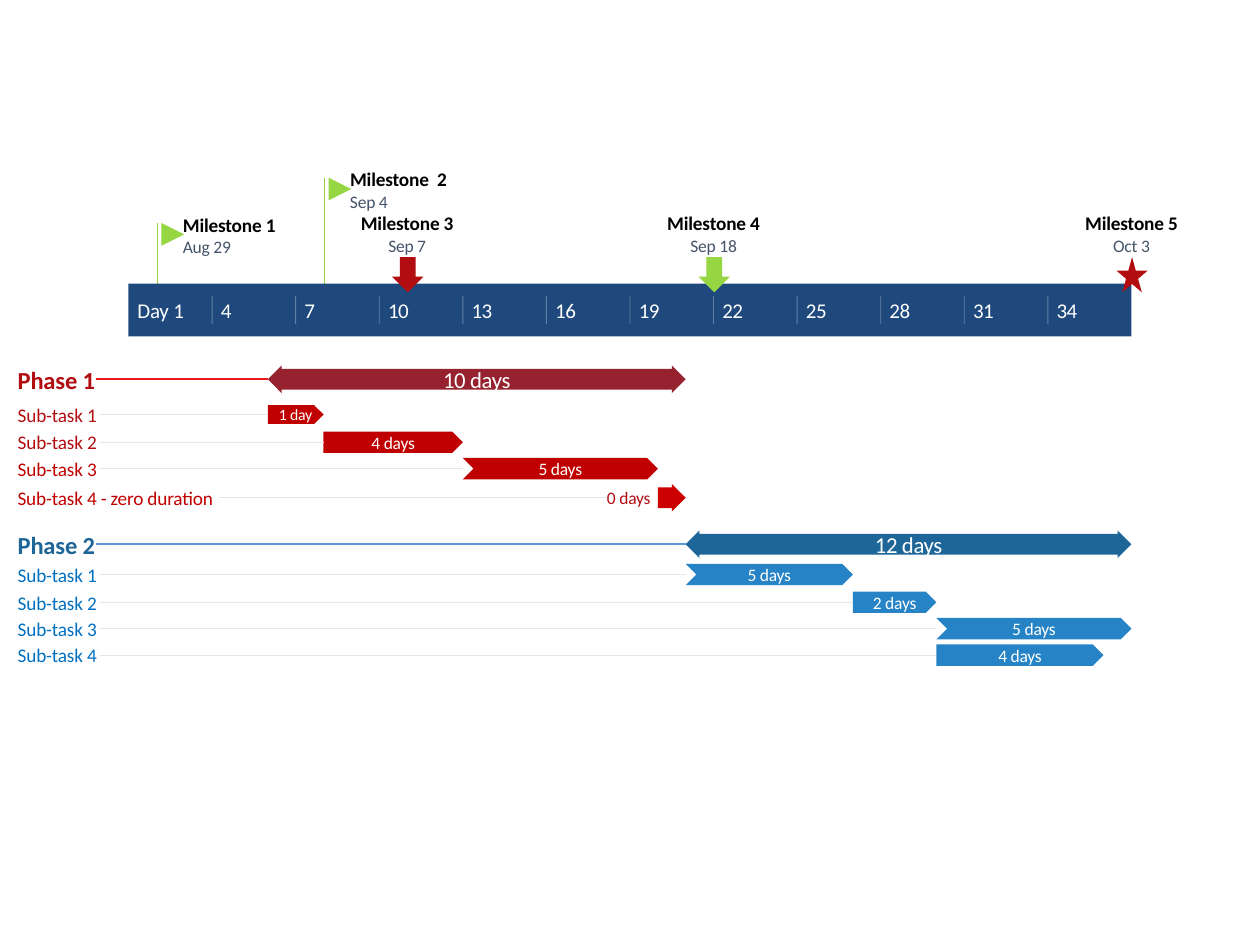
import pptx
import pptx.dml.color
import pptx.enum.shapes
import pptx.enum.text
import pptx.oxml.ns
import pptx.util
from lxml import etree

Inches = pptx.util.Inches
Kind = pptx.enum.shapes.MSO_SHAPE
Align = pptx.enum.text.PP_ALIGN

HUES = {
    "white": "FFFFFF", "black": "000000", "slate": "44546A", "rule": "E7E6E6",
    "band": "1F497D", "green": "96D642", "red": "B20E12", "wine": "95222E",
    "brick": "C00000", "flame": "CC0000", "scarlet": "EA161E",
    "navy": "1E6598", "blue": "2683C6", "sky": "5B9BD5", "azure": "0070C0",
}
LEFT, TOP, WIDE, HIGH = 1.02, 2.25, 7.96, 0.42
DAYS, STEP = 36, 3
EDGE = 0.14

FLAGS = [
    ("Milestone 1", "Aug 29", 1, 1.77),
    ("Milestone  2", "Sep 4", 7, 1.41),
]
MARKS = [
    ("Milestone 3", "Sep 7", 10, Kind.DOWN_ARROW, "red"),
    ("Milestone 4", "Sep 18", 21, Kind.DOWN_ARROW, "green"),
    ("Milestone 5", "Oct 3", 36, Kind.STAR_5_POINT, "red"),
]
PHASES = [
    ("Phase 1", "10 days", 5, 20, 3.01, "wine", "red", "scarlet"),
    ("Phase 2", "12 days", 20, 36, 4.32, "navy", "navy", "sky"),
]
TASKS = [
    ("Sub-task 1", "1 day", 5, 7, 3.29, Kind.PENTAGON, "brick", "red", 9),
    ("Sub-task 2", "4 days", 7, 12, 3.51, Kind.PENTAGON, "brick", "red", 10),
    ("Sub-task 3", "5 days", 12, 19, 3.72, Kind.CHEVRON, "brick", "brick", 10),
    ("Sub-task 1", "5 days", 20, 26, 4.56, Kind.CHEVRON, "blue", "azure", 10),
    ("Sub-task 2", "2 days", 26, 29, 4.78, Kind.PENTAGON, "blue", "azure", 10),
    ("Sub-task 3", "5 days", 29, 36, 4.99, Kind.CHEVRON, "blue", "azure", 10),
    ("Sub-task 4", "4 days", 29, 35, 5.2, Kind.PENTAGON, "blue", "azure", 10),
]


def color(name):
    return pptx.dml.color.RGBColor.from_string(HUES[name])


def day_x(day):
    return LEFT + day * WIDE / DAYS


def add_text(slide, words, x, mid, w, h, size, hue, bold=False, align=Align.LEFT, space=-10):
    box = slide.shapes.add_textbox(Inches(x), Inches(mid - h / 2), Inches(w), Inches(h))
    frame = box.text_frame
    frame.word_wrap = False
    frame.vertical_anchor = pptx.enum.text.MSO_ANCHOR.MIDDLE
    frame.margin_left = frame.margin_right = frame.margin_top = frame.margin_bottom = 0
    para = frame.paragraphs[0]
    para.text = words
    para.alignment = align
    font = para.font
    font.name = "Calibri"
    font.size = pptx.util.Pt(size)
    font.bold = bold
    font.color.rgb = color(hue)
    para._p.pPr.defRPr.set("spc", str(space))
    return box


def add_mid(slide, words, x, mid, w, h, size, hue, **style):
    return add_text(slide, words, x - w / 2, mid, w, h, size, hue, align=Align.CENTER, **style)


def add_form(slide, kind, x, y, w, h, hue):
    form = slide.shapes.add_shape(kind, Inches(x), Inches(y), Inches(w), Inches(h))
    form.shadow.inherit = False
    form.fill.solid()
    form.fill.fore_color.rgb = color(hue)
    form.line.fill.background()
    return form


def add_line(slide, x1, y1, x2, y2, hue, width=0.75, alpha=None):
    line = slide.shapes.add_connector(
        pptx.enum.shapes.MSO_CONNECTOR.STRAIGHT,
        Inches(x1), Inches(y1), Inches(x2), Inches(y2))
    line.line.color.rgb = color(hue)
    line.line.width = pptx.util.Pt(width)
    props = line._element.spPr
    etree.SubElement(props, pptx.oxml.ns.qn("a:effectLst"))
    if alpha:
        tint = props.find(".//" + pptx.oxml.ns.qn("a:srgbClr"))
        etree.SubElement(tint, pptx.oxml.ns.qn("a:alpha")).set("val", str(alpha * 1000))
    return line


def add_band(slide):
    add_form(slide, Kind.RECTANGLE, LEFT, TOP, WIDE, HIGH, "band")
    for day in range(0, DAYS, STEP):
        x = day_x(day)
        if day:
            add_line(slide, x, 2.35, x, 2.57, "white", 0.5, 30)
        words = str(day + 1) if day else "Day 1"
        wide = 0.1 * len(words)
        add_text(slide, words, x + 0.07, 2.46, wide, 0.2, 12, "white", space=-30 if day else -10)


def add_flag(slide, name, date, day, y):
    x = day_x(day) + 0.01
    add_line(slide, x, y, x, TOP, "green")
    flag = add_form(slide, Kind.FLOWCHART_MERGE, x + 0.03, y, 0.18, 0.18, "green")
    flag.rotation = 270
    add_text(slide, name, x + 0.2, y + 0.01, 0.79, 0.19, 11, "black", bold=True)
    add_text(slide, date, x + 0.2, y + 0.19, 0.4, 0.17, 10, "slate")


def add_mark(slide, name, date, day, kind, hue):
    x = day_x(day)
    add_mid(slide, name, x, 1.77, 0.75, 0.19, 11, "black", bold=True)
    add_mid(slide, date, x, 1.95, 0.39, 0.17, 10, "slate")
    add_form(slide, kind, x - 0.12, 2.04, 0.25, 0.28, hue)


def add_phase(slide, name, span, start, end, mid, fill, hue, rule):
    x, stop = day_x(start), day_x(end)
    label = add_text(slide, name, EDGE, mid, 0.62, 0.24, 14, hue, bold=True)
    bar = add_form(slide, Kind.LEFT_RIGHT_ARROW, x, mid - 0.11, stop - x, 0.22, fill)
    bar.adjustments[0] = 0.75
    add_mid(slide, span, (x + stop) / 2, mid, 0.56, 0.22, 13, "white", space=-20)
    add_line(slide, 0.76, mid, x, mid, rule, 1).begin_connect(label, 3)


def add_task(slide, name, span, start, end, mid, kind, fill, hue, size):
    x, stop = day_x(start), day_x(end)
    high = 0.17 if size == 10 else 0.15
    label = add_text(slide, name, EDGE, mid, 0.65, 0.19, 11, hue)
    bar = add_form(slide, kind, x, mid - high / 2, stop - x, high, fill)
    add_mid(slide, span, (x + stop) / 2, mid, 0.36, high, size, "white")
    line = add_line(slide, 0.79, mid, x, mid, "rule")
    line.begin_connect(label, 3)
    if kind == Kind.PENTAGON:
        line.end_connect(bar, 1)


def add_zero(slide, mid):
    label = add_text(slide, "Sub-task 4 - zero duration", EDGE, mid, 1.6, 0.19, 11, "brick")
    bar = add_form(slide, Kind.RIGHT_ARROW, day_x(19), mid - 0.11, WIDE / DAYS, 0.22, "flame")
    bar.adjustments[0] = 0.75
    span = add_mid(slide, "0 days", 4.99, mid, 0.36, 0.17, 10, "red")
    line = add_line(slide, 1.74, mid, 4.81, mid, "rule")
    line.begin_connect(label, 3)
    line.end_connect(span, 1)


def main():
    deck = pptx.Presentation()
    deck.slide_width, deck.slide_height = Inches(10), Inches(7.5)
    slide = deck.slides.add_slide(deck.slide_layouts[6])
    for flag in FLAGS:
        add_flag(slide, *flag)
    add_band(slide)
    for mark in MARKS:
        add_mark(slide, *mark)
    for phase in PHASES:
        add_phase(slide, *phase)
    for task in TASKS:
        add_task(slide, *task)
    add_zero(slide, 3.95)
    deck.save("out.pptx")


if __name__ == "__main__":
    main()
